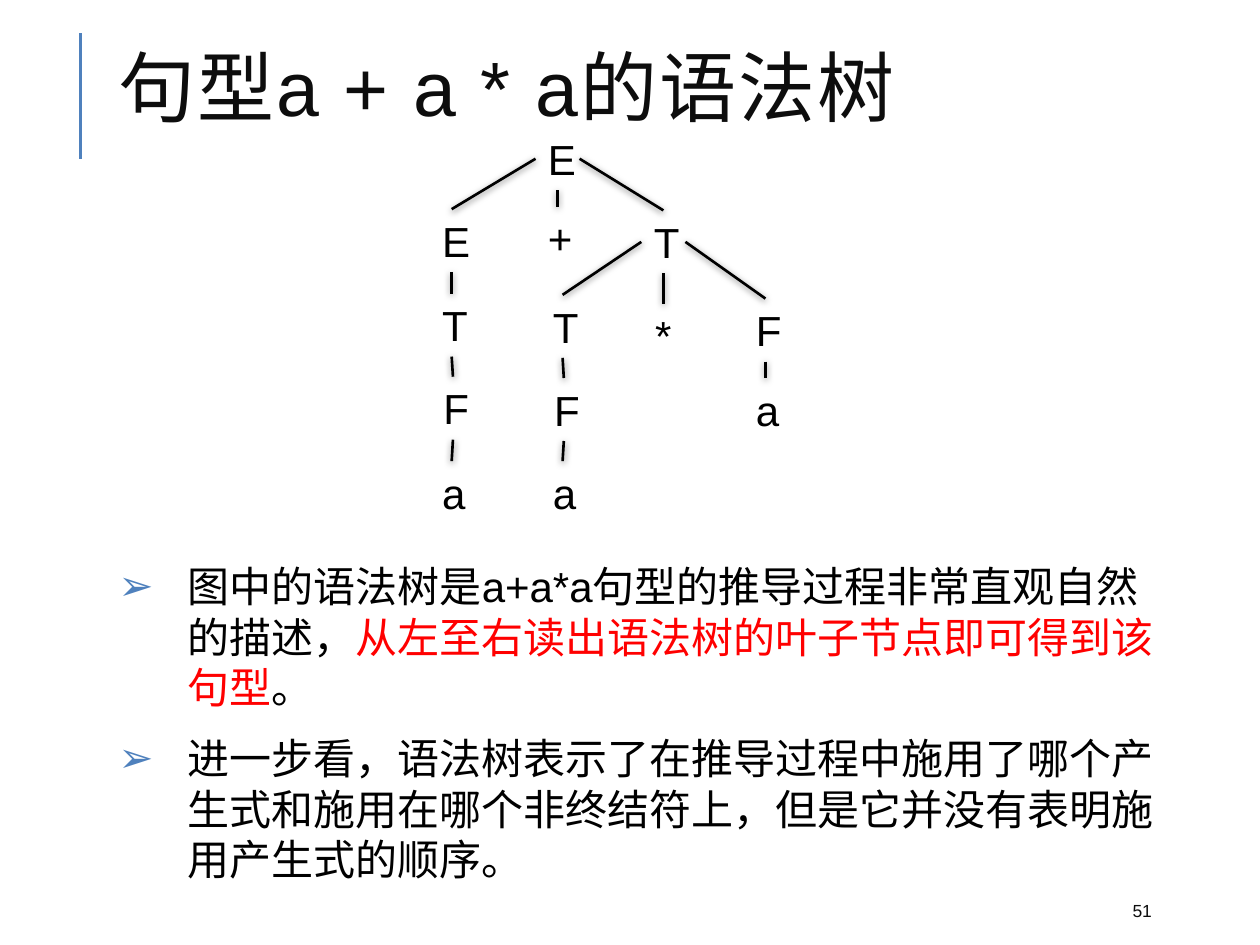
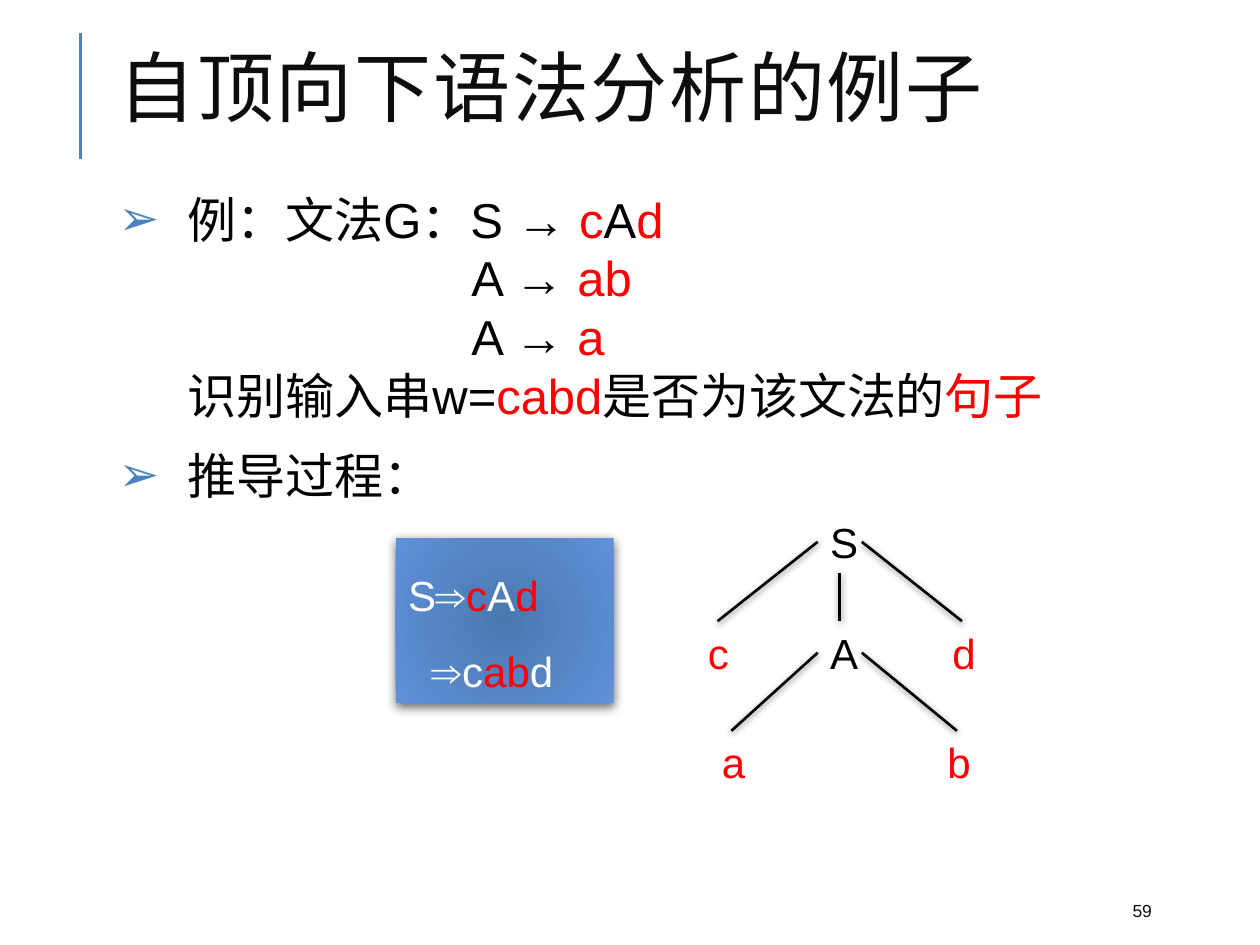
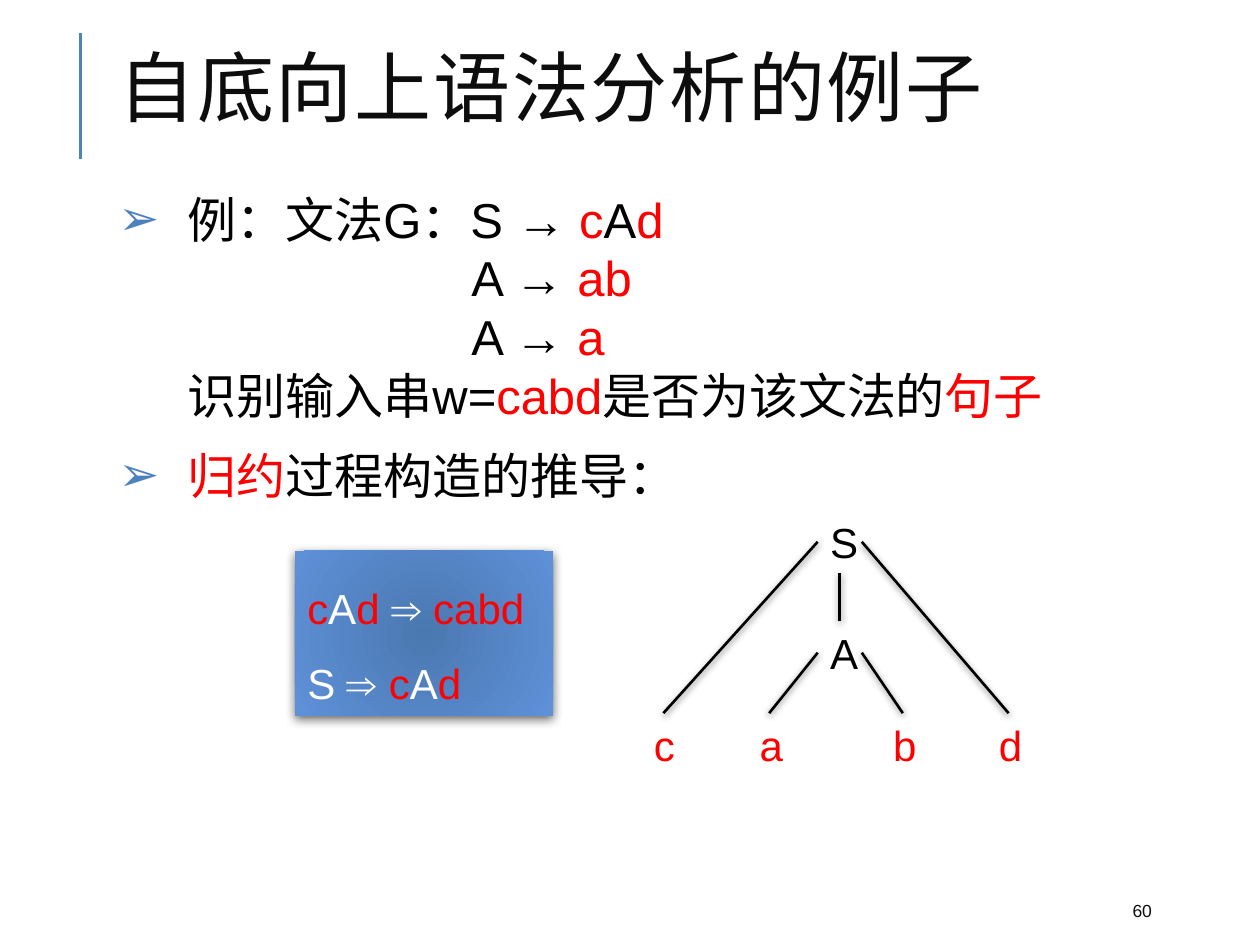
"""Build three slides on syntax trees and parsing."""
from dataclasses import dataclass
from typing import Optional

from lxml.etree import SubElement
from pptx import Presentation
from pptx.dml.color import RGBColor
from pptx.enum.shapes import MSO_CONNECTOR, MSO_SHAPE
from pptx.enum.text import MSO_ANCHOR, MSO_AUTO_SIZE, PP_ALIGN
from pptx.oxml import parse_xml
from pptx.oxml.ns import nsdecls, qn
from pptx.util import Inches, Pt

COLORS = {
    "accent": "4F81BD",
    "title": "0D0D0D",
    "text": "000000",
    "red": "FF0000",
    "white": "FFFFFF",
    "card_center": "4A78B0",
    "card_edge": "5F91D9",
}
FONT = "Arial"
TOP, LEFT, BOTTOM, RIGHT = range(4)
NODE_WIDTH, NODE_HEIGHT = 0.35, 0.5
HANGING = 0.55


@dataclass(frozen=True)
class Line:
    """A body line; words in square brackets are red."""
    text: str
    bullet: bool = True
    indent: float = HANGING
    before: float = 6
    after: float = 6


@dataclass(frozen=True)
class Node:
    """A tree symbol, hung by its top from one side of its parent."""
    label: str
    left: float
    top: float
    parent: Optional[int] = None
    side: int = BOTTOM
    color: str = "text"


@dataclass(frozen=True)
class Card:
    """A derivation card; each row is its text and its indent."""
    left: float
    top: float
    width: float
    rows: tuple[tuple[str, float], ...]


@dataclass(frozen=True)
class Page:
    """The content of one slide."""
    number: int
    title: str
    body_top: float
    body_height: float
    body_size: float
    lines: tuple[Line, ...]
    nodes: tuple[Node, ...]
    card: Optional[Card] = None


GRAMMAR = (
    Line("例：文法G：S → [c]A[d]", after=0),
    Line("A → [ab]", bullet=False, indent=2.8, before=0, after=0),
    Line("A → [a]", bullet=False, indent=2.8, before=0, after=0),
    Line("识别输入串w=[cabd]是否为该文法的[句子]", bullet=False, before=0),
)
ROOT_NODES = (Node("S", 6.49, 4.05), Node("A", 6.49, 4.93, 0))

PAGES = (
    Page(
        51, "句型a + a * a的语法树", 4.4, 2.68, 24,
        (
            Line("图中的语法树是a+a*a句型的推导过程非常直观自然的描述，"
                 "[从左至右读出语法树的叶子节点即可得到该句型]。"),
            Line("进一步看，语法树表示了在推导过程中施用了哪个产生式和施用在"
                 "哪个非终结符上，但是它并没有表明施用产生式的顺序。"),
        ),
        (
            Node("E", 4.25, 1.01),
            Node("E", 3.41, 1.66, 0, LEFT),
            Node("+", 4.25, 1.64, 0),
            Node("T", 5.09, 1.67, 0, RIGHT),
            Node("T", 3.41, 2.33, 1),
            Node("T", 4.29, 2.34, 3, LEFT),
            Node("*", 5.09, 2.41, 3),
            Node("F", 5.9, 2.37, 3, RIGHT),
            Node("F", 3.42, 2.99, 4),
            Node("F", 4.3, 3, 5),
            Node("a", 5.9, 3, 7),
            Node("a", 3.41, 3.66, 8),
            Node("a", 4.29, 3.66, 9),
        ),
    ),
    Page(
        59, "自顶向下语法分析的例子", 1.45, 2.84, 28,
        GRAMMAR + (Line("推导过程："),),
        ROOT_NODES + (
            Node("c", 5.52, 4.93, 0, LEFT, "red"),
            Node("d", 7.46, 4.93, 0, RIGHT, "red"),
            Node("a", 5.63, 5.8, 1, LEFT, "red"),
            Node("b", 7.42, 5.8, 1, RIGHT, "red"),
        ),
        Card(3.14, 4.27, 1.73, (("S⇒[c]A[d]", 0), ("⇒c[ab]d", 0.19))),
    ),
    Page(
        60, "自底向上语法分析的例子", 1.45, 2.84, 28,
        GRAMMAR + (Line("[归约]过程构造的推导："),),
        ROOT_NODES + (
            Node("c", 5.09, 5.66, 0, LEFT, "red"),
            Node("d", 7.83, 5.66, 0, RIGHT, "red"),
            Node("a", 5.93, 5.66, 1, LEFT, "red"),
            Node("b", 6.99, 5.66, 1, RIGHT, "red"),
        ),
        Card(2.34, 4.37, 2.05, (("[c]A[d] ⇒ [cabd]", 0), ("S ⇒ [c]A[d]", 0))),
    ),
)


def rgb(name: str) -> RGBColor:
    """Look up a colour by name."""
    return RGBColor.from_string(COLORS[name])


def write(paragraph, text: str, *, size: float, color: str = "text",
          align=PP_ALIGN.LEFT, line_spacing: float = 1.0, before: float = 0,
          after: float = 0, tracking: float = 0) -> None:
    """Fill a paragraph, with the words in square brackets in red."""
    paragraph.alignment = align
    paragraph.line_spacing = line_spacing
    paragraph.space_before, paragraph.space_after = Pt(before), Pt(after)
    for index, piece in enumerate(text.replace("]", "[").split("[")):
        if not piece:
            continue
        run = paragraph.add_run()
        run.text = piece
        run.font.name, run.font.size = FONT, Pt(size)
        run.font.color.rgb = rgb("red" if index % 2 else color)
        if tracking:
            run.font._element.set("spc", str(int(tracking * 100)))


def paragraph_at(frame, index: int):
    """Return the first paragraph of a frame, or add a further one."""
    return frame.add_paragraph() if index else frame.paragraphs[0]


def set_indent(paragraph, indent: float, hanging: float = 0):
    """Indent a paragraph and return its properties element."""
    properties = paragraph._p.get_or_add_pPr()
    properties.set("marL", str(Inches(indent)))
    properties.set("indent", str(-Inches(hanging)))
    return properties


def place(shape, left: float, top: float, width: float, height: float) -> None:
    """Move and size a shape, in inches."""
    shape.left, shape.top = Inches(left), Inches(top)
    shape.width, shape.height = Inches(width), Inches(height)


def add_effects(shape, alpha: int = 0, blur: float = 0, distance: float = 0) -> None:
    """Give a shape a downward shadow, or none when alpha is zero."""
    effects = SubElement(shape._element.spPr, qn("a:effectLst"))
    if alpha:
        shadow = SubElement(effects, qn("a:outerShdw"), blurRad=str(Pt(blur)),
                            dist=str(Pt(distance)), dir="5400000", rotWithShape="0")
        color = SubElement(shadow, qn("a:srgbClr"), val=COLORS["text"])
        SubElement(color, qn("a:alpha"), val=str(alpha * 1000))


def add_line(slide, start: tuple[float, float], end: tuple[float, float], color: str):
    """Add a straight line."""
    points = [Inches(value) for value in (*start, *end)]
    line = slide.shapes.add_connector(MSO_CONNECTOR.STRAIGHT, *points)
    line.line.color.rgb = rgb(color)
    line.line.width = Pt(1.5)
    return line


def add_title(slide, text: str) -> None:
    """Format the title placeholder and draw the bar beside it."""
    add_effects(add_line(slide, (0.64, 1.26), (0.64, 0.26), "accent"))
    title = slide.shapes.title
    place(title, 0.84, 0.26, 8.5, 0.98)
    frame = title.text_frame
    frame.auto_size = MSO_AUTO_SIZE.NONE
    frame.vertical_anchor = MSO_ANCHOR.MIDDLE
    write(frame.paragraphs[0], text, size=44, color="title", line_spacing=0.8, tracking=1)


def add_number(slide, number: int) -> None:
    """Add the slide number."""
    box = slide.shapes.add_textbox(Inches(8.89), Inches(7.08), Inches(0.8), Inches(0.3))
    box.text_frame.word_wrap = True
    box.text_frame.vertical_anchor = MSO_ANCHOR.MIDDLE
    write(box.text_frame.paragraphs[0], str(number), size=10, color="title")


def add_body(slide, page: Page) -> None:
    """Fill the body placeholder with bulleted and indented lines."""
    body = slide.placeholders[1]
    place(body, 0.84, page.body_top, 8.5, page.body_height)
    frame = body.text_frame
    frame.auto_size = MSO_AUTO_SIZE.NONE
    for index, line in enumerate(page.lines):
        paragraph = paragraph_at(frame, index)
        properties = set_indent(paragraph, line.indent, HANGING if line.bullet else 0)
        if line.bullet:
            color = SubElement(properties, qn("a:buClr"))
            SubElement(color, qn("a:srgbClr"), val=COLORS["accent"])
            SubElement(properties, qn("a:buChar"), char="➢")
        else:
            SubElement(properties, qn("a:buNone"))
        write(paragraph, line.text, size=page.body_size,
              before=line.before if index else 0, after=line.after)


def add_tree(slide, nodes: tuple[Node, ...]) -> None:
    """Draw the symbols of a tree and join each to its parent."""
    boxes = []
    for node in nodes:
        box = slide.shapes.add_textbox(Inches(node.left), Inches(node.top),
                                       Inches(NODE_WIDTH), Inches(NODE_HEIGHT))
        box.text_frame.word_wrap = True
        write(box.text_frame.paragraphs[0], node.label, size=24,
              color=node.color, align=PP_ALIGN.CENTER)
        boxes.append(box)
        if node.parent is not None:
            edge = add_line(slide, (0, 0), (0, 0), "text")
            edge.begin_connect(boxes[node.parent], node.side)
            edge.end_connect(box, TOP)
            add_effects(edge, alpha=50, blur=4, distance=1)


def add_card(slide, card: Card) -> None:
    """Draw the shaded card that lists the derivation steps."""
    shape = slide.shapes.add_shape(MSO_SHAPE.RECTANGLE, Inches(card.left),
                                   Inches(card.top), Inches(card.width), Inches(1.31))
    shape.line.fill.background()
    stops = "".join(
        f'<a:gs pos="{position}"><a:srgbClr val="{COLORS[name]}"/></a:gs>'
        for position, name in ((0, "card_center"), (100000, "card_edge")))
    gradient = parse_xml(
        f'<a:gradFill {nsdecls("a")} rotWithShape="1"><a:gsLst>{stops}</a:gsLst>'
        '<a:path path="circle"><a:fillToRect l="100000" t="100000" r="100000" b="100000"/>'
        '</a:path></a:gradFill>')
    shape._element.spPr.find(qn("a:prstGeom")).addnext(gradient)
    add_effects(shape, alpha=60, blur=6, distance=2)
    frame = shape.text_frame
    frame.word_wrap = True
    frame.vertical_anchor = MSO_ANCHOR.TOP
    for index, (text, indent) in enumerate(card.rows):
        paragraph = paragraph_at(frame, index)
        set_indent(paragraph, indent)
        write(paragraph, text, size=24, color="white", line_spacing=1.5)


def main() -> None:
    """Build and save the presentation."""
    presentation = Presentation()
    presentation.slide_width, presentation.slide_height = Inches(10), Inches(7.5)
    for page in PAGES:
        slide = presentation.slides.add_slide(presentation.slide_layouts[1])
        add_title(slide, page.title)
        add_number(slide, page.number)
        add_body(slide, page)
        if page.card:
            add_card(slide, page.card)
        add_tree(slide, page.nodes)
    presentation.save("out.pptx")


if __name__ == "__main__":
    main()
